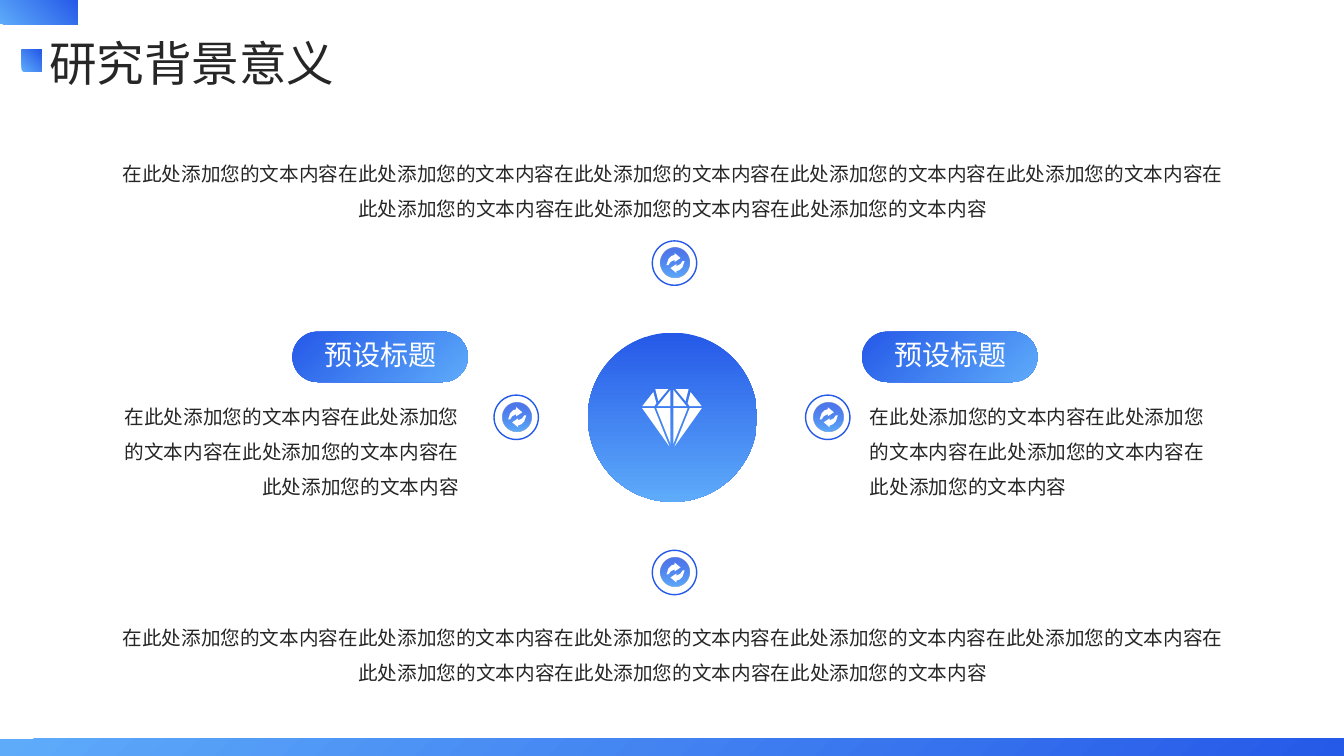
from lxml import etree
from pptx import Presentation
from pptx.dml.color import RGBColor
from pptx.enum.shapes import MSO_SHAPE
from pptx.enum.text import MSO_AUTO_SIZE, PP_ALIGN
from pptx.oxml.ns import qn
from pptx.util import Inches, Pt

RECT, OVAL, PILL = MSO_SHAPE.RECTANGLE, MSO_SHAPE.OVAL, MSO_SHAPE.ROUNDED_RECTANGLE
LEFT, CENTER, RIGHT, JUSTIFY = PP_ALIGN.LEFT, PP_ALIGN.CENTER, PP_ALIGN.RIGHT, PP_ALIGN.JUSTIFY
GROW, FIXED = MSO_AUTO_SIZE.SHAPE_TO_FIT_TEXT, MSO_AUTO_SIZE.NONE

FONT = "Noto Sans CJK SC"
BLUE, SKY, WHITE, INK = "2559E8", "5EABFA", "FFFFFF", "262626"
SLIDE_W, SLIDE_H = 13.33, 7.5
SENTENCE = "在此处添加您的文本内容"

# Left half of the diamond; the right half is its mirror image.
DIAMOND_FACETS = [
    [(6.65, 4.03), (6.65, 3.87), (6.52, 4.03)],
    [(6.51, 4.05), (6.65, 4.4), (6.65, 4.05)],
    [(6.49, 4.03), (6.51, 4), (6.48, 3.89), (6.37, 4.03)],
    [(6.53, 3.98), (6.63, 3.86), (6.5, 3.86)],
    [(6.49, 4.05), (6.37, 4.05), (6.64, 4.43)],
]
# Upper arrow of the cycle icon; the lower one is turned by half a circle.
ICON_W, ICON_H = 0.18, 0.2
CYCLE_ARROW = [(0.14, 0.05), (0.08, 0.09), (0.08, 0.07), (0.04, 0.09), (0.02, 0.12),
               (0, 0.12), (0.02, 0.06), (0.05, 0.03), (0.08, 0.02), (0.08, 0)]


def rgb(color):
    return RGBColor.from_string(color)


def add_shape(slide, kind, x, y, w, h, fill=WHITE, line=None):
    s = slide.shapes.add_shape(kind, Inches(x), Inches(y), Inches(w), Inches(h))
    s.shadow.inherit = False
    s.fill.solid()
    s.fill.fore_color.rgb = rgb(fill)
    if line:
        s.line.color.rgb = rgb(line)
        s.line.width = Pt(1)
    else:
        s.line.fill.background()
    return s


def set_gradient(s, start, end, angle):
    """Fill with two colours; the angle runs clockwise."""
    s.fill.gradient()
    s.fill.gradient_angle = 360 - angle
    for stop, color in zip(s.fill.gradient_stops, (start, end)):
        stop.color.rgb = rgb(color)


def add_polygons(slide, *outlines):
    """Draw closed white outlines, given in inches, as one freeform."""
    outlines = [[(Inches(x), Inches(y)) for x, y in points] for points in outlines]
    builder = slide.shapes.build_freeform(*outlines[0][0])
    for i, points in enumerate(outlines):
        if i:
            builder.move_to(*points[0])
        builder.add_line_segments(points[1:], close=True)
    s = builder.convert_to_shape()
    s.shadow.inherit = False
    s.fill.solid()
    s.fill.fore_color.rgb = rgb(WHITE)
    s.line.fill.background()


def add_text(slide, x, y, w, h, text, size, color=INK, align=LEFT, spacing=1.0, auto_size=GROW):
    tf = slide.shapes.add_textbox(Inches(x), Inches(y), Inches(w), Inches(h)).text_frame
    tf.word_wrap = True
    tf.auto_size = auto_size
    tf.text = text
    p = tf.paragraphs[0]
    p.alignment = align
    p.line_spacing = spacing
    r = p.runs[0]
    r.font.size = Pt(size)
    r.font.color.rgb = rgb(color)
    r.font.name = FONT
    etree.SubElement(r.font._element, qn("a:ea"), typeface=FONT)


def add_frame(slide):
    tab = add_shape(slide, RECT, 0.26, -0.27, 0.25, 0.77)
    marker = add_shape(slide, RECT, 0.21, 0.5, 0.21, 0.2)
    bar = add_shape(slide, RECT, 0, 7.33, SLIDE_W, 0.21)
    tab.rotation = marker.rotation = 270
    for s in (tab, marker, bar):
        set_gradient(s, SKY, BLUE, 45)


def add_cycle_badge(slide, x, y):
    add_shape(slide, OVAL, x, y, 0.44, 0.44, line=BLUE)
    disc = add_shape(slide, OVAL, x + 0.08, y + 0.07, 0.29, 0.29)
    set_gradient(disc, BLUE, SKY, 90)
    disc.fill.gradient_stops[0].position = 0.18
    first_color = disc.element.spPr.find(".//" + qn("a:srgbClr"))
    etree.SubElement(first_color, qn("a:alpha"), val="80000")
    left, top = x + 0.14, y + 0.12
    upper = [(left + dx, top + dy) for dx, dy in CYCLE_ARROW]
    lower = [(left + ICON_W - dx, top + ICON_H - dy) for dx, dy in CYCLE_ARROW]
    add_polygons(slide, upper, lower)


def add_diamond_hub(slide):
    hub = add_shape(slide, OVAL, 5.83, 3.3, 1.68, 1.68)
    set_gradient(hub, BLUE, SKY, 90)
    for facet in DIAMOND_FACETS:
        add_polygons(slide, facet)
        add_polygons(slide, [(SLIDE_W - x, y) for x, y in facet])


def add_pill_title(slide, x, text):
    pill = add_shape(slide, PILL, x, 3.29, 1.74, 0.5)
    pill.adjustments[0] = 0.5
    set_gradient(pill, BLUE, SKY, 45)
    add_text(slide, x + 0.16, 3.3, 1.43, 0.45, text, 20, WHITE, CENTER, auto_size=FIXED)


def main():
    prs = Presentation()
    prs.slide_width, prs.slide_height = Inches(SLIDE_W), Inches(SLIDE_H)
    slide = prs.slides.add_slide(prs.slide_layouts[6])

    add_frame(slide)
    add_text(slide, 0.39, 0.29, 3.11, 0.67, "研究背景意义", 34, align=JUSTIFY)
    for x, y in [(6.47, 2.39), (6.47, 5.46), (7.99, 3.92), (4.9, 3.92)]:
        add_cycle_badge(slide, x, y)
    add_diamond_hub(slide)

    for y in (1.44, 6.04):
        add_text(slide, 1.11, y, 11.13, 0.81, SENTENCE * 8, 14, align=CENTER, spacing=1.5)
    for x, align in [(8.53, LEFT), (1.11, RIGHT)]:
        add_text(slide, x, 3.85, 3.54, 1.16, SENTENCE * 4, 14, align=align, spacing=1.5)
    for x in (2.9, 8.55):
        add_pill_title(slide, x, "预设标题")

    prs.save("out.pptx")


if __name__ == "__main__":
    main()
